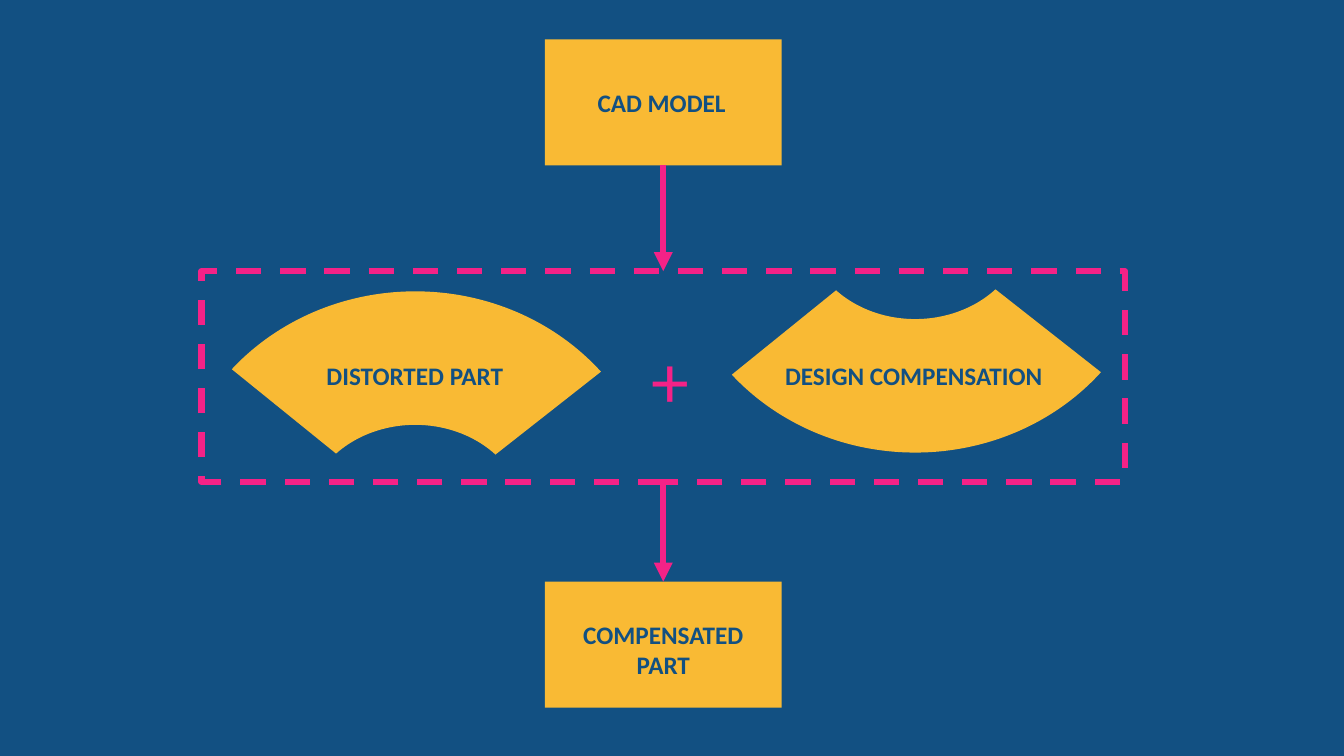
"""Build the slide that shows how a distorted part is compensated."""
import pptx
import pptx.util
import pptx.dml.color
import pptx.enum.dml
import pptx.enum.shapes
import pptx.enum.text
import lxml.etree

theme = {
    "blue": pptx.dml.color.RGBColor.from_string("125082"),
    "gold": pptx.dml.color.RGBColor.from_string("F9BA34"),
    "pink": pptx.dml.color.RGBColor.from_string("F42287"),
    "font": "Calibri",
    "label": pptx.util.Pt(18),
    "plus": pptx.util.Pt(54),
    "line": pptx.util.Pt(4.5),
}
kinds = pptx.enum.shapes.MSO_SHAPE
align = pptx.enum.text.PP_ALIGN

deck = pptx.Presentation()
deck.slide_width = pptx.util.Inches(13.33)
deck.slide_height = pptx.util.Inches(7.5)
col = deck.slide_width / 40
row = deck.slide_height / 30

slide = deck.slides.add_slide(deck.slide_layouts[6])
slide.background.fill.solid()
slide.background.fill.fore_color.rgb = theme["blue"]


def add_form(kind, left, top, wide, high, fill=None):
    form = slide.shapes.add_shape(
        kind, round(left * col), round(top * row), round(wide * col), round(high * row))
    form.shadow.inherit = False
    if fill is None:
        form.fill.background()
    else:
        form.fill.solid()
        form.fill.fore_color.rgb = fill
        form.line.fill.background()
    return form


def add_text(text, left, top, wide, high, size=theme["label"], color=theme["blue"],
             bold=True, wrap=False, side=align.LEFT):
    box = slide.shapes.add_textbox(
        round(left * col), round(top * row), round(wide * col), round(high * row))
    frame = box.text_frame
    frame.word_wrap = wrap
    frame.auto_size = pptx.enum.text.MSO_AUTO_SIZE.SHAPE_TO_FIT_TEXT
    par = frame.paragraphs[0]
    par.alignment = side
    run = par.add_run()
    run.text = text
    run.font.name = theme["font"]
    run.font.size = size
    run.font.bold = bold
    run.font.color.rgb = color


left, wide = 6, 27.48
mid = left + wide / 2
group = add_form(kinds.RECTANGLE, left, 10.76, wide, 8.36)
group.line.color.rgb = theme["pink"]
group.line.width = theme["line"]
group.line.dash_style = pptx.enum.dml.MSO_LINE.DASH

span = 7.05
model, final = [add_form(kinds.RECTANGLE, mid - span / 2, top, span, 5, theme["gold"])
                for top in (1.56, 23.08)]

for left, top, flip in ((5.13, 11.56, False), (20.01, 0, True)):
    arc = add_form(kinds.BLOCK_ARC, left, top, 14.46, 17.96, theme["gold"])
    for spot, value in enumerate((131.388, 193.101, 0.295)):
        arc.adjustments[spot] = value
    if flip:
        arc.element.spPr.xfrm.set("flipV", "1")

add_text("CAD MODEL", 17.49, 3.28, 4.92, 1.6, wrap=True)
add_text("DISTORTED PART", 9.42, 14.12, 5.91, 1.6)
add_text("DESIGN COMPENSATION", 23.07, 14.12, 8.34, 1.6)
add_text("+", 19.08, 13, 1.74, 4.04, size=theme["plus"], color=theme["pink"], bold=False)
add_text("COMPENSATED PART", 17.04, 24.36, 5.4, 2.84, wrap=True, side=align.CENTER)

for start, end in ((model, group), (group, final)):
    arrow = slide.shapes.add_connector(pptx.enum.shapes.MSO_CONNECTOR.STRAIGHT, 0, 0, 0, 0)
    arrow.begin_connect(start, 2)
    arrow.end_connect(end, 0)
    arrow.line.color.rgb = theme["pink"]
    arrow.line.width = theme["line"]
    stroke = arrow.line._get_or_add_ln()
    lxml.etree.SubElement(stroke, pptx.oxml.ns.qn("a:tailEnd"), type="triangle")
    lxml.etree.SubElement(arrow.element.spPr, pptx.oxml.ns.qn("a:effectLst"))

deck.save("out.pptx")
